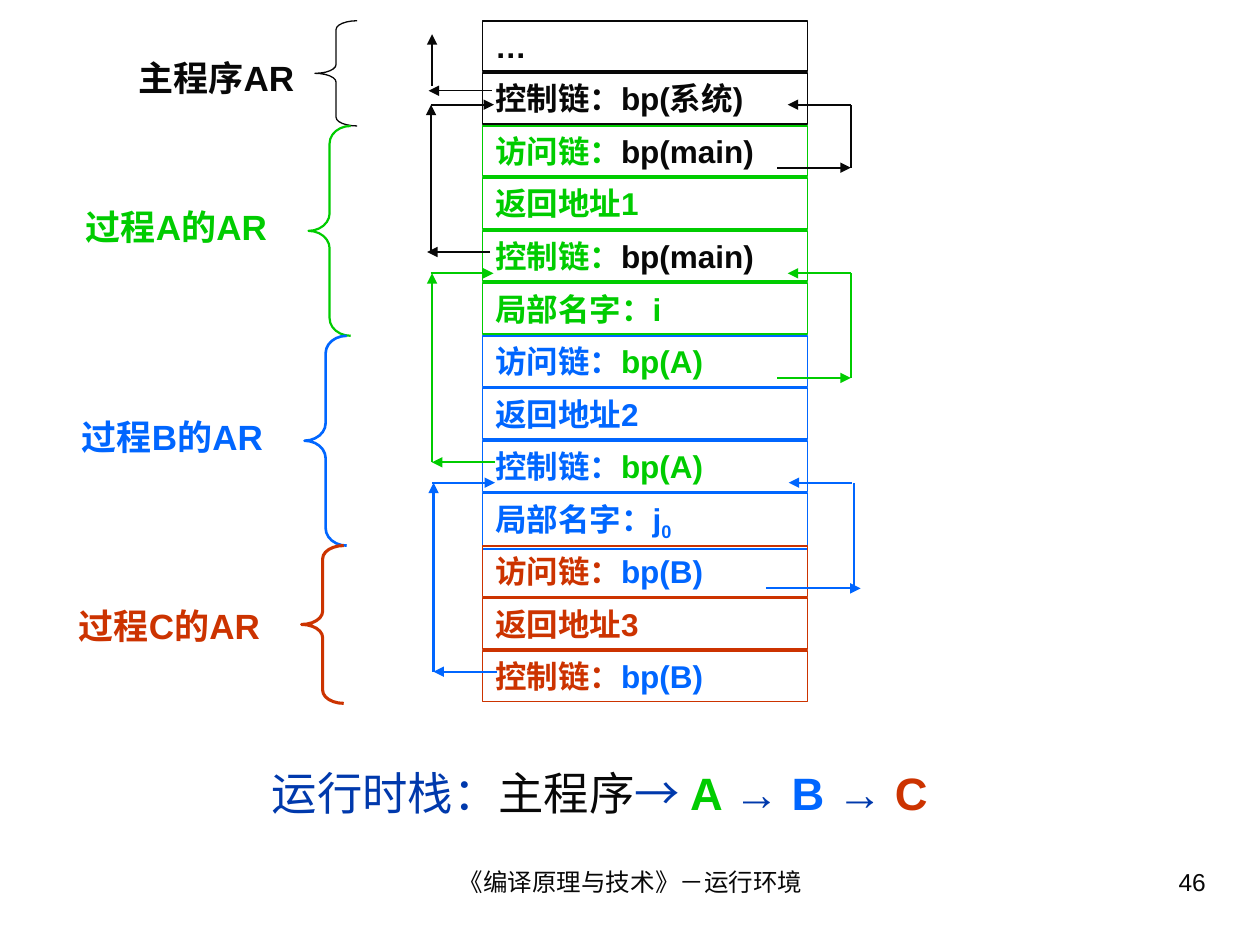
import lxml.etree
import pptx
import pptx.dml.color
import pptx.enum.shapes
import pptx.enum.text
import pptx.oxml.ns
import pptx.util

Cm = pptx.util.Cm
Pt = pptx.util.Pt
RGB = pptx.dml.color.RGBColor
ALIGN = pptx.enum.text.PP_ALIGN
ANCHOR = pptx.enum.text.MSO_ANCHOR
SHAPE = pptx.enum.shapes.MSO_SHAPE

BLACK = RGB(0x08, 0x08, 0x08)
GREEN = RGB(0x00, 0xCC, 0x00)
BLUE = RGB(0x00, 0x66, 0xFF)
RED = RGB(0xCC, 0x33, 0x00)
NAVY = RGB(0x00, 0x39, 0xAC)

ROWS = [
    (BLACK, [("…", BLACK)]),
    (BLACK, [("控制链：bp(系统)", BLACK)]),
    (GREEN, [("访问链：", GREEN), ("bp(main)", BLACK)]),
    (GREEN, [("返回地址1", GREEN)]),
    (GREEN, [("控制链：", GREEN), ("bp(main)", BLACK)]),
    (GREEN, [("局部名字：i", GREEN)]),
    (BLUE, [("访问链：", BLUE), ("bp(A)", GREEN)]),
    (BLUE, [("返回地址2", BLUE)]),
    (BLUE, [("控制链：", BLUE), ("bp(A)", GREEN)]),
    (BLUE, [("局部名字：j", BLUE), ("0", BLUE)]),
    (RED, [("访问链：", RED), ("bp(B)", BLUE)]),
    (RED, [("返回地址3", RED)]),
    (RED, [("控制链：", RED), ("bp(B)", BLUE)]),
]
TITLE = [
    ("运行时栈：", NAVY), ("主程序", BLACK), ("→ ", NAVY), ("A ", GREEN),
    ("→ ", NAVY), ("B ", BLUE), ("→ ", NAVY), ("C", RED),
]


def write(shape, parts, size, bold=False, align=ALIGN.LEFT, before=0):
    """Fill the shape with one paragraph of coloured runs and return them."""
    frame = shape.text_frame
    frame.word_wrap = True
    frame.auto_size = pptx.enum.text.MSO_AUTO_SIZE.NONE
    frame.vertical_anchor = ANCHOR.TOP
    para = frame.paragraphs[0]
    para.alignment = align
    para.space_before = Pt(before)
    for text, hue in parts:
        run = para.add_run()
        run.text = text
        run.font.name = "Arial"
        run.font.size = Pt(size)
        run.font.bold = bold
        run.font.color.rgb = hue
    return para.runs


def label(slide, box, text, size, hue=BLACK, **style):
    """Place a text box holding a single run."""
    shape = slide.shapes.add_textbox(*map(Cm, box))
    write(shape, [(text, hue)], size, **style)


def outline(slide, kind, box, hue, width):
    """Place an unfilled shape with a coloured line."""
    shape = slide.shapes.add_shape(kind, *map(Cm, box))
    shape.shadow.inherit = False
    shape.fill.background()
    shape.line.color.rgb = hue
    shape.line.width = Pt(width)
    return shape


def line(slide, start, end, hue, width, head=True):
    """Draw a straight line, with an arrowhead at its end if asked."""
    kind = pptx.enum.shapes.MSO_CONNECTOR.STRAIGHT
    link = slide.shapes.add_connector(kind, *map(Cm, start + end))
    link.line.color.rgb = hue
    link.line.width = Pt(width)
    props, name = link._element.spPr, pptx.oxml.ns.qn
    if head:
        stroke = props.find(name("a:ln"))
        lxml.etree.SubElement(stroke, name("a:tailEnd"), type="triangle")
    lxml.etree.SubElement(props, name("a:effectLst"))


def stack(slide, box):
    """Draw the run-time stack as equal rows filling the box."""
    left, top, width, height = box
    pitch = height / len(ROWS)
    for i, (hue, parts) in enumerate(ROWS):
        sub = parts[-1][0] == "0"
        tall = 1.12 if sub else 1.02
        cell = (left, top + i * pitch, width, tall)
        shape = outline(slide, SHAPE.RECTANGLE, cell, hue, 1)
        runs = write(shape, parts, 18, bold=True, before=11.2)
        if sub:
            runs[-1]._r.get_or_add_rPr().set("baseline", "-25000")


def record(slide, box, text, hue, width, inset):
    """Draw one activation record: a label and the brace at its right."""
    left, top, wide, high = box
    brace = 0.85
    shape = outline(slide, SHAPE.LEFT_BRACE,
                    (left + wide - brace, top, brace, high), hue, width)
    shape.adjustments[0] = high / 12 / brace
    room = wide - brace + 0.1
    label(slide, (left, top + inset, room, 1.11), text, 20, hue,
          bold=True, before=12.5)


def control(slide, box, hue, spine=0, upper=0):
    """Draw a control link that leaves at the bottom and returns at the top."""
    left, top, wide, high = box
    low = top + high
    mid, back = left + spine, left + upper
    line(slide, (left + wide, low), (left, low), hue, 1.25)
    line(slide, (mid, low), (mid, top), hue, 1.25)
    line(slide, (back, top), (back + wide, top), hue, 1.25)


def system(slide, box):
    """Draw the open link from the main program to the system."""
    left, top, wide, high = box
    low, mid = top + high, left + 0.07
    line(slide, (left + wide, low), (left, low), BLACK, 0.75)
    line(slide, (mid, low - 0.1), (mid, top), BLACK, 0.75)


def access(slide, box, hue, spine=0, upper=0):
    """Draw an access link that leaves at the bottom and returns at the top."""
    left, top, wide, high = box
    right, low = left + wide, top + high
    mid, back = right - spine, right - upper
    line(slide, (left, low), (right, low), hue, 1)
    line(slide, (mid, low), (mid, top), hue, 1, head=False)
    line(slide, (back, top), (back - 1.27, top), hue, 1)


def heading(slide, box):
    """Move the title placeholder into the box and fill it."""
    shape = slide.shapes.title
    shape.left, shape.top, shape.width, shape.height = map(Cm, box)
    runs = write(shape, TITLE, 25.9, align=ALIGN.CENTER)
    shape.text_frame.vertical_anchor = ANCHOR.MIDDLE
    for run in runs:
        run.font.bold = run.text.strip() in ("A", "B", "C")


def main():
    """Build the slide and save it."""
    deck = pptx.Presentation()
    deck.slide_width, deck.slide_height = Cm(25.4), Cm(19.05)
    slide = deck.slides.add_slide(deck.slide_layouts[5])

    heading(slide, (0.23, 14.91, 23.72, 2.11))
    label(slide, (8.69, 17.35, 8.05, 1.32), "《编译原理与技术》－运行环境",
          14, align=ALIGN.CENTER)
    label(slide, (18.21, 17.35, 6.35, 1.32), "46", 14, align=ALIGN.RIGHT)

    stack(slide, (9.73, 0.42, 6.55, 13.76))
    record(slide, (2.54, 0.42, 4.66, 2.12), "主程序AR", BLACK, 0.75, 0.6)
    record(slide, (1.48, 2.54, 5.59, 4.23), "过程A的AR", GREEN, 1.25, 1.48)
    record(slide, (1.4, 6.77, 5.59, 4.23), "过程B的AR", BLUE, 1.5, 1.48)
    record(slide, (1.34, 11, 5.59, 3.18), "过程C的AR", RED, 1.75, 1.07)

    system(slide, (8.64, 0.69, 1.27, 1.14))
    control(slide, (8.61, 2.11, 1.27, 2.97), BLACK, 0.08, 0.08)
    control(slide, (8.71, 5.51, 1.27, 3.81), GREEN, upper=-0.03)
    control(slide, (8.74, 9.73, 1.27, 3.81), BLUE, upper=-0.03)
    access(slide, (15.67, 2.11, 1.48, 1.27), BLACK)
    access(slide, (15.67, 5.51, 1.48, 2.11), GREEN)
    access(slide, (15.44, 9.73, 1.91, 2.13), BLUE, 0.13, 0.18)

    deck.save("out.pptx")


if __name__ == "__main__":
    main()
